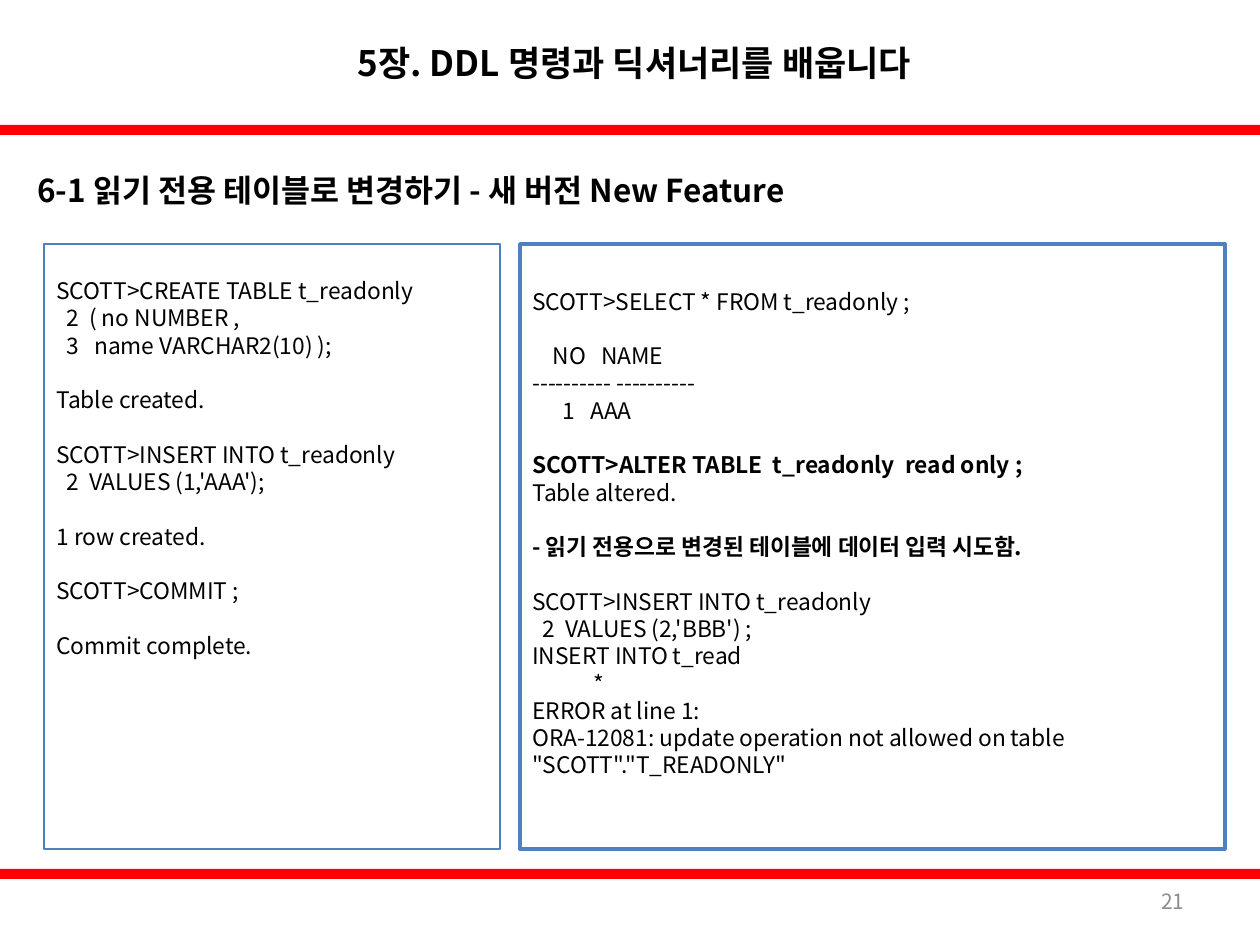
from lxml.etree import SubElement
from pptx import Presentation
from pptx.dml.color import RGBColor
from pptx.enum.shapes import MSO_SHAPE as Shape
from pptx.enum.text import MSO_ANCHOR as Anchor, MSO_AUTO_SIZE as AutoSize, PP_ALIGN as Align
from pptx.oxml.ns import qn
from pptx.util import Emu, Pt

EMU_PER_PX = 914400 / 126
FONT = "Noto Sans CJK KR"
COLORS = {"bar": "FF0000", "text": "000000", "number": "8C8C8C",
          "border": "4F81BD", "panel": "FFFFFF"}
CODE_SIZE, CODE_PITCH, CODE_LINE_PX = 13, 15.6, 27

SETUP_CODE = [
    ["SCOTT>CREATE TABLE t_readonly", "  2  ( no NUMBER ,", "  3   name VARCHAR2(10) );"],
    ["Table created."],
    ["SCOTT>INSERT INTO t_readonly", "  2  VALUES (1,'AAA');"],
    ["1 row created."],
    ["SCOTT>COMMIT ;"],
    ["Commit complete."],
]
ALTER_LINE = "SCOTT>ALTER TABLE  t_readonly  read only ;"
ATTEMPT_LINE = "- 읽기 전용으로 변경된 테이블에 데이터 입력 시도함."
READONLY_CODE = [
    ["SCOTT>SELECT * FROM t_readonly ;"],
    ["    NO   NAME", "---------- ----------", "      1   AAA"],
    [ALTER_LINE, "Table altered."],
    [ATTEMPT_LINE],
    ["SCOTT>INSERT INTO t_readonly", "  2  VALUES (2,'BBB') ;", "INSERT INTO t_read",
     "            *", "ERROR at line 1:",
     'ORA-12081: update operation not allowed on table "SCOTT"."T_READONLY"'],
]


def px(length):
    """Convert whole pixels to EMU."""
    return Emu(round(length * EMU_PER_PX))


def rgb(name):
    """Look up a colour by its role."""
    return RGBColor.from_string(COLORS[name])


def write(paragraph, text, size, color="text", bold=False, align=Align.LEFT,
          pitch=None, before=None):
    """Put formatted text into a paragraph."""
    run = paragraph.add_run()
    run.text = text
    run.font.name, run.font.size, run.font.bold = FONT, Pt(size), bold
    run.font.color.rgb = rgb(color)
    SubElement(run.font._element, qn("a:ea"), typeface=FONT)
    paragraph.alignment = align
    if pitch:
        paragraph.line_spacing = Pt(pitch)
    if before:
        paragraph.space_before = Pt(before)


def add_box(slide, box, fill=None, border=None, width=1):
    """Add a rectangle with an optional fill and border."""
    rectangle = slide.shapes.add_shape(Shape.RECTANGLE, *map(px, box))
    rectangle.shadow.inherit = False
    if fill:
        rectangle.fill.solid()
        rectangle.fill.fore_color.rgb = rgb(fill)
    else:
        rectangle.fill.background()
    if border:
        rectangle.line.color.rgb = rgb(border)
        rectangle.line.width = Pt(width)
    else:
        rectangle.line.fill.background()
    return rectangle


def add_title(slide, box, text):
    """Place the chapter title in the title placeholder."""
    title = slide.shapes.title
    title.left, title.top, title.width, title.height = map(px, box)
    title.text_frame.auto_size = AutoSize.NONE
    title.text_frame.vertical_anchor = Anchor.MIDDLE
    write(title.text_frame.paragraphs[0], text, 20, bold=True, align=Align.CENTER)


def add_label(slide, box, text, size, **style):
    """Add one line of vertically centred text."""
    frame = slide.shapes.add_textbox(*map(px, box)).text_frame
    frame.word_wrap = True
    frame.vertical_anchor = Anchor.MIDDLE
    write(frame.paragraphs[0], text, size, **style)


def add_code_panel(slide, box, blocks, anchor, margins, align=Align.LEFT, strong=(), **look):
    """Add a bordered panel whose code blocks are one line apart."""
    frame = add_box(slide, box, border="border", **look).text_frame
    frame.word_wrap = True
    frame.vertical_anchor = anchor
    frame.margin_top, frame.margin_bottom = map(px, margins)
    paragraph = frame.paragraphs[0]
    for block_index, block in enumerate(blocks):
        for line_index, line in enumerate(block):
            if block_index or line_index:
                paragraph = frame.add_paragraph()
            gap = CODE_PITCH if block_index and not line_index else None
            write(paragraph, line, CODE_SIZE, bold=line in strong, align=align,
                  pitch=CODE_PITCH, before=gap)


def main():
    """Build and save the slide."""
    deck = Presentation()
    deck.slide_width, deck.slide_height = px(1260), px(945)
    slide = deck.slides.add_slide(deck.slide_layouts[5])
    for bar_top in (125, 869):
        add_box(slide, (0, bar_top, 1260, 10), fill="bar")
    add_title(slide, (213, 0, 843, 125), "5장. DDL 명령과 딕셔너리를 배웁니다")
    add_label(slide, (903, 876, 294, 50), "21", 12, color="number", align=Align.RIGHT)
    add_label(slide, (25, 155, 1191, 69),
              "6-1 읽기 전용 테이블로 변경하기 - 새 버전 New Feature", 18, bold=True)
    inset = 6
    add_code_panel(slide, (44, 244, 456, 605), SETUP_CODE, Anchor.TOP,
                   (inset + CODE_LINE_PX, inset), align=Align.JUSTIFY,
                   fill="panel", width=0.75)
    add_code_panel(slide, (520, 244, 705, 605), READONLY_CODE, Anchor.MIDDLE,
                   (inset, inset + CODE_LINE_PX), strong=(ALTER_LINE, ATTEMPT_LINE), width=2)
    deck.save("out.pptx")


if __name__ == "__main__":
    main()
